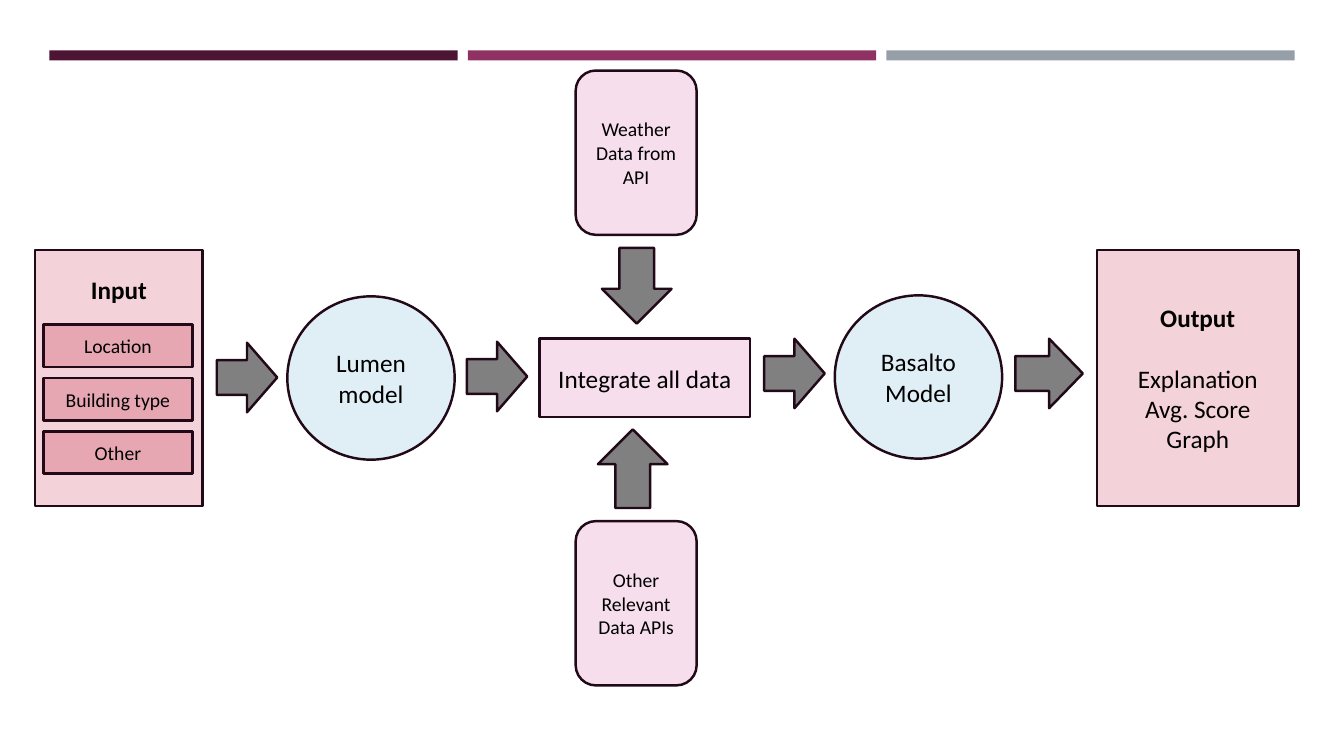
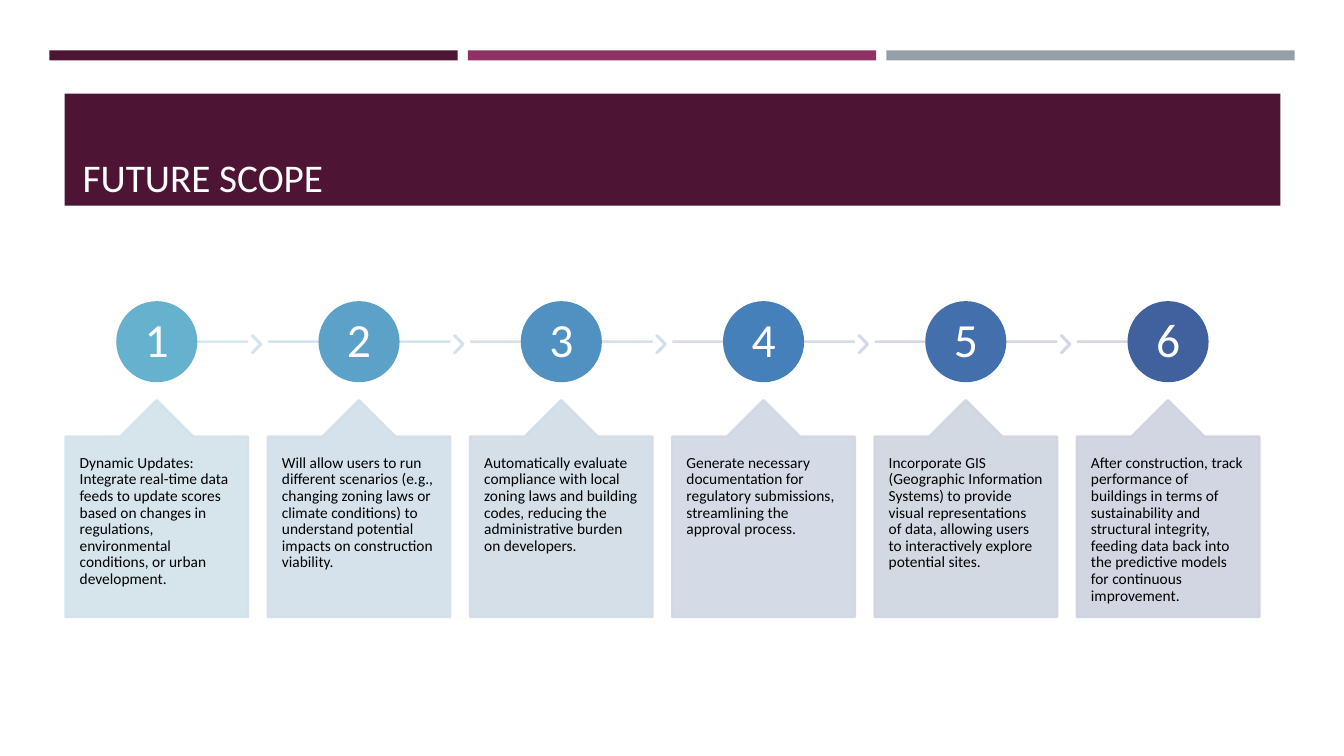
from lxml import etree
from pptx import Presentation
from pptx import util as u
from pptx.dml.color import RGBColor
from pptx.enum import shapes, text
from pptx.oxml import ns

Inches, Pt = u.Inches, u.Pt
KIND = shapes.MSO_SHAPE
ALIGN = text.PP_ALIGN
ANCHOR = text.MSO_ANCHOR

PLUM = "4D1434"
OUTLINE = "220917"
ROSE = "F3D3D9"
DEEP_ROSE = "E6A7B3"
PINK = "F6DEEC"
ICE = "E0EFF5"
GREY = "808080"
BANDS = [(0.49, PLUM), (4.64, "903163"), (8.79, "969FA7")]


def paint(item, fill=None, line=None, opacity=100):
    if fill:
        item.fill.solid()
        item.fill.fore_color.rgb = RGBColor.from_string(fill)
    if line:
        item.line.color.rgb = RGBColor.from_string(line)
        item.line.width = Pt(1.75)
    else:
        item.line.fill.background()
    properties = item._element.spPr
    if opacity < 100:
        for color in properties.iter(ns.qn("a:srgbClr")):
            etree.SubElement(color, ns.qn("a:alpha"), val=str(opacity * 1000))
    etree.SubElement(properties, ns.qn("a:effectLst"))


def write(item, wording, size, color="000000", align=ALIGN.CENTER, anchor=ANCHOR.MIDDLE):
    frame = item.text_frame
    frame.text = wording
    frame.word_wrap = True
    frame.auto_size = text.MSO_AUTO_SIZE.NONE
    frame.vertical_anchor = anchor
    for paragraph in frame.paragraphs:
        paragraph.alignment = align
        paragraph.font.name = "Calibri"
        paragraph.font.size = Pt(size)
        paragraph.font.color.rgb = RGBColor.from_string(color)
    return frame


prs = Presentation()
prs.slide_width = Inches(13.33)
prs.slide_height = Inches(7.5)
flow = prs.slides.add_slide(prs.slide_layouts[6])
future = prs.slides.add_slide(prs.slide_layouts[5])

for slide in (flow, future):
    for left, color in BANDS:
        band = slide.shapes.add_shape(KIND.RECTANGLE, Inches(left), Inches(0.5), Inches(4.05), Inches(0.1))
        paint(band, color)

input_box = flow.shapes.add_shape(KIND.RECTANGLE, Inches(0.35), Inches(2.48), Inches(1.66), Inches(2.54))
paint(input_box, ROSE, OUTLINE)
input_text = write(input_box, "Input", 18, anchor=ANCHOR.TOP)
input_text.margin_top = Inches(0.24)
input_text.paragraphs[0].font.bold = True

output_box = flow.shapes.add_shape(KIND.RECTANGLE, Inches(10.88), Inches(2.48), Inches(2), Inches(2.54))
paint(output_box, ROSE, OUTLINE)
output_text = write(output_box, "Output\nExplanation\nAvg. Score\nGraph", 18)
output_text.paragraphs[0].font.bold = True
output_text.paragraphs[0].space_after = Pt(22)

stages = [
    (KIND.OVAL, 2.85, 2.94, 1.66, 1.62, ICE, "Lumen model", 18),
    (KIND.RECTANGLE, 5.35, 3.36, 2.09, 0.78, PINK, "Integrate all data", 18),
    (KIND.OVAL, 8.28, 2.93, 1.66, 1.62, ICE, "Basalto Model", 18),
    (KIND.ROUNDED_RECTANGLE, 5.71, 0.7, 1.2, 1.63, PINK, "Weather Data from API", 14),
    (KIND.ROUNDED_RECTANGLE, 5.71, 5.17, 1.2, 1.63, PINK, "Other Relevant Data APIs", 14),
]
for row, field in enumerate(["Location", "Building type", "Other"]):
    stages.append((KIND.RECTANGLE, 0.43, 3.22 + row * 0.53, 1.48, 0.42, DEEP_ROSE, field, 14))
for kind, left, top, width, height, color, wording, size in stages:
    stage = flow.shapes.add_shape(kind, Inches(left), Inches(top), Inches(width), Inches(height))
    paint(stage, color, OUTLINE)
    write(stage, wording, size)

arrows = [
    (KIND.RIGHT_ARROW, 2.15, 3.4, 0.6, 0.69),
    (KIND.RIGHT_ARROW, 4.63, 3.39, 0.6, 0.69),
    (KIND.RIGHT_ARROW, 7.58, 3.36, 0.6, 0.69),
    (KIND.RIGHT_ARROW, 10.07, 3.36, 0.67, 0.69),
    (KIND.DOWN_ARROW, 5.97, 2.46, 0.69, 0.75),
    (KIND.UP_ARROW, 5.93, 4.26, 0.69, 0.78),
]
for kind, *box in arrows:
    arrow = flow.shapes.add_shape(kind, *map(Inches, box))
    paint(arrow, GREY, OUTLINE)

title = future.shapes.title
title.left, title.top, title.width, title.height = map(Inches, (0.64, 0.93, 12.06, 1.11))
paint(title, PLUM)
title_text = write(title, "FUTURE SCOPE", 28, "FFFEFF", ALIGN.LEFT, ANCHOR.BOTTOM)
title_text.margin_left = Inches(0.18)

steps = [
    ("66B1CE", "Dynamic Updates: Integrate real-time data feeds to update scores based on changes in "
               "regulations, environmental conditions, or urban development."),
    ("5BA1C8", "Will allow users to run different scenarios (e.g., changing zoning laws or climate "
               "conditions) to understand potential impacts on construction viability."),
    ("5091C1", "Automatically evaluate compliance with local zoning laws and building codes, reducing "
               "the administrative burden on developers."),
    ("4680BA", "Generate necessary documentation for regulatory submissions, streamlining the approval "
               "process."),
    ("4370AC", "Incorporate GIS (Geographic Information Systems) to provide visual representations of "
               "data, allowing users to interactively explore potential sites."),
    ("40619D", "After construction, track performance of buildings in terms of sustainability and "
               "structural integrity, feeding data back into the predictive models for continuous "
               "improvement."),
]
first_tint, last_tint = (0xD3, 0xE4, 0xED), (0xCE, 0xD2, 0xDF)
tints = []
for position in range(18):
    channels = [round(a + (b - a) * position / 17) for a, b in zip(first_tint, last_tint)]
    tints.append("%02X%02X%02X" % tuple(channels))

card_width = 1.81
pitch = (10.68 - 0.65) / (len(steps) - 1)
for index, (color, wording) in enumerate(steps):
    left = 0.65 + index * pitch
    center = left + card_width / 2
    last = index == len(steps) - 1
    line_tint, chevron_tint, card_tint = tints[index * 3:index * 3 + 3]

    start = left if index else center
    end = center if last else left + card_width
    timeline = future.shapes.add_connector(
        shapes.MSO_CONNECTOR.STRAIGHT, Inches(start), Inches(3.39), Inches(end), Inches(3.39))
    paint(timeline, line=line_tint, opacity=90)

    if not last:
        chevron = future.shapes.add_shape(
            KIND.CHEVRON, Inches(left + 1.85), Inches(3.33), Inches(0.09), Inches(0.17))
        chevron.adjustments[0] = 0.9
        paint(chevron, chevron_tint, chevron_tint, 90)

    number = future.shapes.add_shape(
        KIND.OVAL, Inches(center - 0.39), Inches(3), Inches(0.78), Inches(0.78))
    paint(number, color, color)
    number_text = write(number, str(index + 1), 34, "FFFFFF")
    number_text.margin_left = number_text.margin_right = Inches(0.03)
    number_text.margin_top = number_text.margin_bottom = Inches(0.03)
    number_text.paragraphs[0].line_spacing = 0.9

    card = future.shapes.add_shape(
        KIND.UP_ARROW_CALLOUT, Inches(left), Inches(3.97), Inches(card_width), Inches(2.15))
    for handle, value in enumerate([0.5, 0.2, 0.2, 1]):
        card.adjustments[handle] = value
    paint(card, card_tint, card_tint, 90)
    card_text = write(card, wording, 11, align=ALIGN.LEFT, anchor=ANCHOR.TOP)
    card_text.margin_left = card_text.margin_right = Inches(0.14)
    card_text.margin_top = Inches(0.18)
    card_text.margin_bottom = 0
    card_text.paragraphs[0].line_spacing = 0.9

prs.save("out.pptx")
